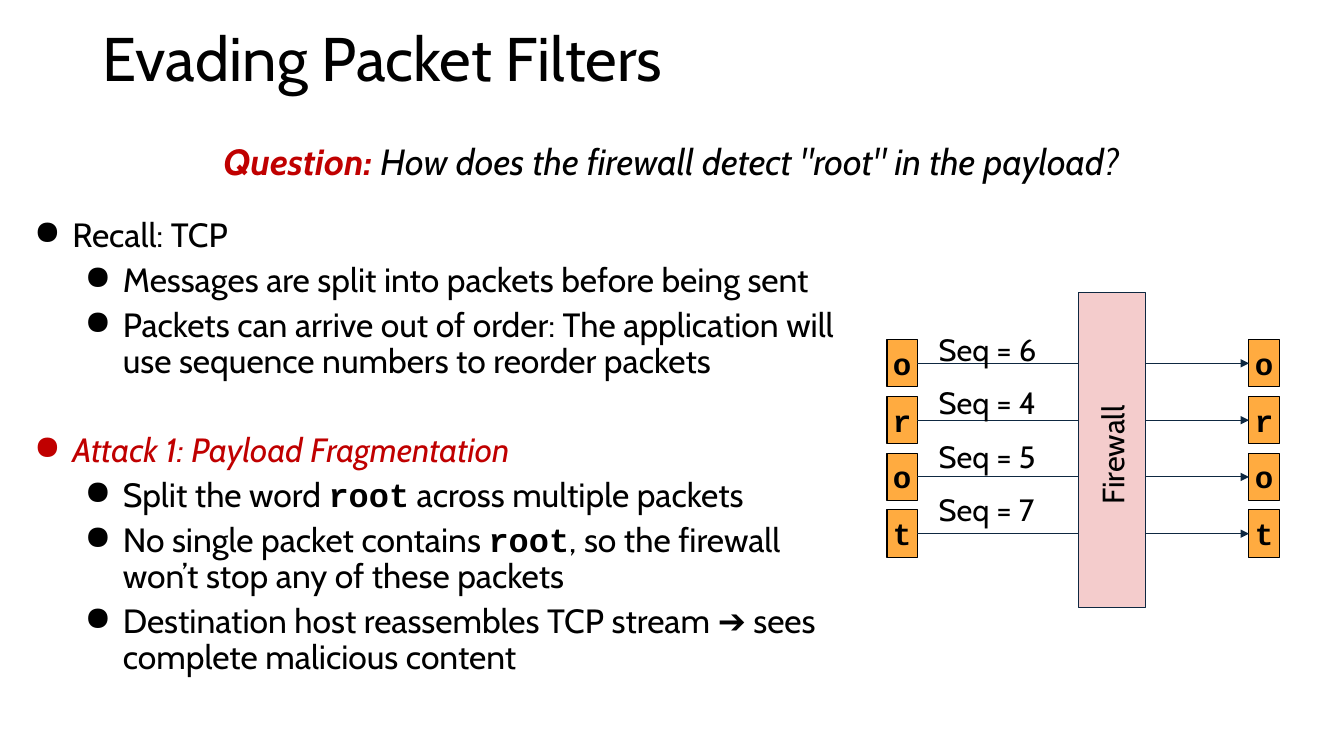
from lxml import etree
from pptx import Presentation
from pptx import util as u
from pptx.dml.color import RGBColor
from pptx.enum import shapes, text
from pptx.oxml import ns

BLACK = RGBColor(0x00, 0x00, 0x00)
RED = RGBColor(0xC0, 0x00, 0x00)
ORANGE = RGBColor(0xFF, 0xAB, 0x40)
PINK = RGBColor(0xF4, 0xCC, 0xCC)
NAVY = RGBColor(0x0E, 0x28, 0x41)
SANS, MONO = "Cabin", "Courier New"

prs = Presentation()
prs.slide_width, prs.slide_height = u.Inches(13.33), u.Inches(7.5)
s = prs.slides.add_slide(prs.slide_layouts[6])


def add_box(x, y, w, h, inset=None, fill=None, line=BLACK):
    """Add a text box, or a rectangle if filled; lengths are percent of the slide."""
    area = [int(share * side / 100) for share, side in
            zip((x, y, w, h), (prs.slide_width, prs.slide_height) * 2)]
    if fill is None:
        sp = s.shapes.add_textbox(*area)
    else:
        sp = s.shapes.add_shape(shapes.MSO_SHAPE.RECTANGLE, *area)
        sp.shadow.inherit = False
        sp.fill.solid()
        sp.fill.fore_color.rgb = fill
        sp.line.color.rgb = line
        sp.line.width = u.Pt(0.75)
    tf = sp.text_frame
    tf.word_wrap = True
    tf.vertical_anchor = text.MSO_ANCHOR.TOP
    if inset is not None:
        tf.margin_left = tf.margin_right = u.Inches(inset)
        tf.margin_top = tf.margin_bottom = u.Inches(inset)
    return sp


def style(p, size, color=BLACK, font=SANS, bold=False, italic=False, align=None):
    """Format every run of a paragraph."""
    p.alignment = align
    for r in p.runs:
        r.font.name, r.font.size = font, u.Pt(size)
        r.font.bold, r.font.italic = bold, italic
        r.font.color.rgb = color


CENTER = text.PP_ALIGN.CENTER

# Bulleted text: level, space before, colour, runs (every second run is code)
bullets = [
    (0, 0, BLACK, ["Recall: TCP"]),
    (1, 0, BLACK, ["Messages are split into packets before being sent"]),
    (1, 0, BLACK, ["Packets can arrive out of order: The application will "
                   "use sequence numbers to reorder packets"]),
    (0, 32, RED, ["Attack 1: Payload Fragmentation"]),
    (1, 0, BLACK, ["Split the word ", "root", " across multiple packets"]),
    (1, 0, BLACK, ["No single packet contains ", "root",
                   ", so the firewall won’t stop any of these packets"]),
    (1, 0, BLACK, ["Destination host reassembles TCP stream ➔ sees "
                   "complete malicious content"]),
]
tf = add_box(0.9, 28.27, 62.5, 66.27).text_frame
for i, (level, before, color, parts) in enumerate(bullets):
    p = tf.add_paragraph() if i else tf.paragraphs[0]
    p.level = level
    p.line_spacing = 0.9
    p.space_before, p.space_after = u.Pt(before), u.Pt(6)
    for part in parts:
        p.add_run().text = part
    style(p, 24, color, italic=color == RED)
    for r in p.runs[1::2]:
        r.font.name, r.font.bold = MONO, True
    pPr = p._p.get_or_add_pPr()
    pPr.set("marL", str(u.Inches(0.5 * (level + 1))))
    pPr.set("indent", str(u.Inches(-0.38)))
    etree.SubElement(pPr, ns.qn("a:buChar")).set("char", "●")

# Packets on both sides, joined by arrows
for row, letter in enumerate("orot"):
    pair = []
    for x in (66, 92.93):
        sp = add_box(x, 44.93 + 7.51 * row, 2.25, 6.27, 0.05, ORANGE)
        sp.text_frame.text = letter
        style(sp.text_frame.paragraphs[0], 22, font=MONO, bold=True, align=CENTER)
        pair.append(sp)
    arrow = s.shapes.add_connector(shapes.MSO_CONNECTOR.STRAIGHT, 0, 0, 0, 0)
    arrow.begin_connect(pair[0], 3)
    arrow.end_connect(pair[1], 1)
    arrow.line.color.rgb = NAVY
    arrow.line.width = u.Pt(0.75)
    etree.SubElement(arrow.line._get_or_add_ln(), ns.qn("a:tailEnd")).set("type", "triangle")
    etree.SubElement(arrow._element.spPr, ns.qn("a:effectLst"))

# Firewall across the arrows
firewall = add_box(71.04, 55.07, 23.41, 8.93, 0.1, PINK, NAVY)
firewall.rotation = 270
tf = firewall.text_frame
tf.margin_left = 0
tf.vertical_anchor = text.MSO_ANCHOR.MIDDLE
tf.text = "Firewall"
style(tf.paragraphs[0], 22, align=CENTER)

# Sequence numbers
for row, number in enumerate((6, 4, 5, 7)):
    tf = add_box(69.47, 43.07 + 7.07 * row, 10.05, 6.27, 0.05).text_frame
    tf.text = f"Seq = {number}"
    style(tf.paragraphs[0], 22)

# Title
tf = add_box(6.9, 0.27, 86.27, 15.73).text_frame
tf.vertical_anchor = text.MSO_ANCHOR.MIDDLE
tf.text = "Evading Packet Filters"
tf.paragraphs[0].line_spacing = 0.9
style(tf.paragraphs[0], 44)

# Question
p = add_box(12.75, 17.73, 74.49, 7.2).text_frame.paragraphs[0]
for part in ("Question: ", 'How does the firewall detect "root" in the payload?'):
    p.add_run().text = part
style(p, 26, italic=True, align=CENTER)
p.runs[0].font.bold = True
p.runs[0].font.color.rgb = RED

prs.save("out.pptx")
